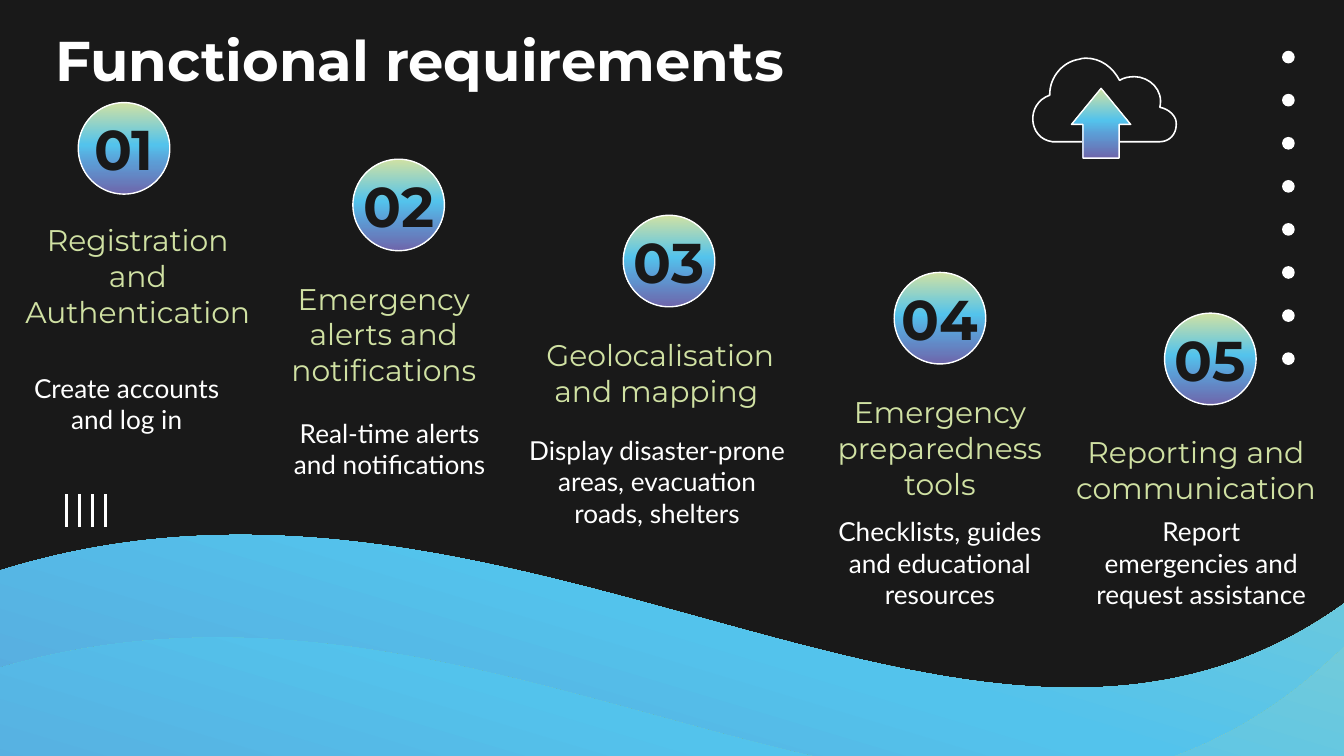
"""Build the functional requirements slide with five descending steps."""
from dataclasses import dataclass
from math import cos, radians, sin

from lxml.etree import SubElement
from pptx import Presentation
from pptx.dml.color import RGBColor
from pptx.enum.shapes import MSO_CONNECTOR, MSO_SHAPE
from pptx.enum.text import MSO_ANCHOR, PP_ALIGN
from pptx.oxml.ns import qn
from pptx.util import Cm, Pt


@dataclass(frozen=True)
class Theme:
    """Colours, fonts and type sizes of the slide."""
    dark: str = "191919"
    white: str = "FFFFFF"
    green: str = "D0E1A3"
    gradient: tuple = ((0, "D0E1A3"), (46, "53C3EC"), (66, "5C9CD5"), (100, "6E66AB"))
    display: str = "Montserrat"
    text: str = "Lato"
    title_size: int = 30
    heading_size: int = 16
    body_size: int = 14


def turn(point, pivot, degrees):
    """Rotate a point clockwise around a pivot."""
    angle = radians(degrees)
    x, y = point[0] - pivot[0], point[1] - pivot[1]
    return (pivot[0] + x * cos(angle) - y * sin(angle),
            pivot[1] + x * sin(angle) + y * cos(angle))


class SlideBuilder:
    """Draws styled elements on the current page."""

    def __init__(self, page, theme):
        """Keep the page and theme, and paint the background."""
        self.page, self.theme = page, theme
        background = page.background.fill
        background.solid()
        background.fore_color.rgb = RGBColor.from_string(theme.dark)

    def paint(self, shape, fill=None, line=None):
        """Set a solid, gradient or empty fill and an optional white outline."""
        shape.shadow.inherit = False
        if fill is None:
            shape.fill.background()
        elif isinstance(fill, str):
            shape.fill.solid()
            shape.fill.fore_color.rgb = RGBColor.from_string(fill)
        else:
            shape.fill.gradient()
            shape.fill.gradient_angle = 270
            stops = shape._element.spPr.find(qn("a:gradFill")).find(qn("a:gsLst"))
            stops.clear()
            for position, colour in fill:
                stop = SubElement(stops, qn("a:gs"), pos=str(position * 1000))
                SubElement(stop, qn("a:srgbClr"), val=colour)
        if line is None:
            shape.line.fill.background()
        else:
            shape.line.color.rgb = RGBColor.from_string(self.theme.white)
            shape.line.width = Pt(line)

    def preset(self, kind, area, fill, line=None):
        """Add a preset shape."""
        shape = self.page.shapes.add_shape(kind, *map(Cm, area))
        self.paint(shape, fill, line)
        return shape

    def outline(self, start, segments, fill=None, line=None):
        """Add a closed freeform of lines (one point) and cubic curves (three points)."""
        first, *rest = [(Cm(x), Cm(y)) for x, y in (start, *sum(segments, ()))]
        builder = self.page.shapes.build_freeform(*first)
        builder.add_line_segments(rest, close=True)
        shape = builder.convert_to_shape()
        route = next(shape._element.iter(qn("a:path")))
        nodes = iter(route.findall(qn("a:lnTo")))
        for segment in segments:
            group = [next(nodes) for _ in segment]
            if len(group) == 3:
                curve = route.makeelement(qn("a:cubicBezTo"))
                group[0].addprevious(curve)
                for node in group:
                    curve.append(node[0])
                    route.remove(node)
        self.paint(shape, fill, line)
        return shape

    def wave(self, pivot, start, segments, tilt=16.7):
        """Add a tilted gradient wave whose gradient turns with it."""
        level = [tuple(turn(point, pivot, -tilt) for point in segment) for segment in segments]
        self.outline(turn(start, pivot, -tilt), level, self.theme.gradient).rotation = tilt

    def tick(self, x, top, bottom):
        """Add a short vertical line."""
        line = self.page.shapes.add_connector(MSO_CONNECTOR.STRAIGHT, Cm(x), Cm(top), Cm(x), Cm(bottom))
        line.line.color.rgb = RGBColor.from_string(self.theme.white)
        line.line.width = Pt(1.5)
        SubElement(line._element.spPr, qn("a:effectLst"))

    def label(self, text, area, font, size, colour, bold=False,
              align=PP_ALIGN.CENTER, anchor=MSO_ANCHOR.TOP):
        """Add a wrapped text box with one run."""
        frame = self.page.shapes.add_textbox(*map(Cm, area)).text_frame
        frame.word_wrap = True
        frame.vertical_anchor = anchor
        frame.margin_left = frame.margin_right = frame.margin_top = frame.margin_bottom = Cm(0.25)
        para = frame.paragraphs[0]
        para.alignment = align
        span = para.add_run()
        span.text = text
        span.font.name, span.font.size, span.font.bold = font, Pt(size), bold
        span.font.color.rgb = RGBColor.from_string(colour)

    def step(self, number, badge, heading, heading_area, body, body_area):
        """Add a numbered badge with its heading and description."""
        theme, diameter, width, height = self.theme, 1.73, 3.81, 1.52
        left, top = badge
        self.preset(MSO_SHAPE.OVAL, (left, top, diameter, diameter), theme.gradient, 0.75)
        number_area = (left + (diameter - width) / 2, top + (diameter - height) / 2, width, height)
        self.label(f"{number:02}", number_area, theme.display, theme.title_size, theme.dark,
                   bold=True, anchor=MSO_ANCHOR.MIDDLE)
        self.label(heading, heading_area, theme.display, theme.heading_size, theme.green)
        self.label(body, body_area, theme.text, theme.body_size, theme.white)


WAVES = [
    ((16.45, 14.48), (31.42, 7.9), [
        ((29.79, 8.18), (27.61, 9.53), (26.09, 10.87)),
        ((18.26, 17.68), (8.23, 5.41), (-3.33, 12.29)),
        ((-5.33, 19),), ((4.39, 21.89),),
        ((7.06, 20.17), (18.97, 19.08), (21.26, 19.25)),
        ((31.83, 20.07), (32.46, 21.36), (34.8, 21.51))]),
    ((15.54, 16.37), (30.4, 9.32), [
        ((28.8, 9.65), (26.64, 11.1), (25.12, 12.5)),
        ((17.27, 19.66), (7.57, 7.14), (-3.94, 14.43)),
        ((-6.02, 21.39),), ((3.53, 24.26),),
        ((6.17, 22.43), (17.96, 21.11), (20.22, 21.26)),
        ((30.63, 21.92), (31.24, 23.27), (33.53, 23.39))]),
]

CLOUD = ((20.52, 1.1), [
    ((20.47, 1.1), (20.42, 1.11), (20.4, 1.12)),
    ((20.07, 1.17), (19.84, 1.47), (19.84, 1.78)),
    ((19.84, 1.8),),
    ((19.38, 1.96), (19.43, 2.62), (19.89, 2.68)),
    ((19.89, 2.68),), ((21.89, 2.68),),
    ((21.92, 2.68), (21.92, 2.68), (21.92, 2.68)),
    ((22.1, 2.68), (22.23, 2.54), (22.23, 2.36)),
    ((22.25, 2.21), (22.1, 2.06), (21.92, 2.03)),
    ((22, 1.7), (21.72, 1.45), (21.44, 1.45)),
    ((21.34, 1.45), (21.23, 1.47), (21.16, 1.52)),
    ((21.03, 1.27), (20.8, 1.1), (20.52, 1.1))])

STEPS = [
    ((1.48, 1.94), "Registration and Authentication", (0.13, 3.95, 4.95, 2.84),
     "Create accounts and log in", (0.11, 6.79, 4.57, 2.44)),
    ((6.67, 3.01), "Emergency alerts and notifications", (4.7, 5.05, 5.11, 2.49),
     "Real-time alerts and notifications", (5.08, 7.64, 4.57, 2.31)),
    ((11.78, 4.07), "Geolocalisation and mapping ", (10.03, 6.12, 4.9, 2.34),
     "Display disaster-prone areas, evacuation roads, shelters", (9.74, 7.96, 5.36, 3.07)),
    ((16.9, 5.15), "Emergency preparedness tools", (15.48, 7.19, 4.57, 2.39),
     "Checklists, guides and educational resources", (15.48, 9.5, 4.57, 2.31)),
    ((22.01, 5.92), "Reporting and communication", (20.05, 7.95, 5.11, 2.34),
     "Report emergencies and request assistance", (20.42, 9.5, 4.57, 2.54)),
]


def main():
    """Build and save the deck."""
    deck = Presentation()
    deck.slide_width, deck.slide_height = Cm(25.4), Cm(14.29)
    theme = Theme()
    slide = SlideBuilder(deck.slides.add_slide(deck.slide_layouts[6]), theme)
    for pivot, start, segments in WAVES:
        slide.wave(pivot, start, segments)
    for row in range(8):
        slide.preset(MSO_SHAPE.OVAL, (24.23, 0.96 + 5.7 * row / 7, 0.24, 0.24), theme.white)
    for column in range(4):
        slide.tick(1.25 + 0.25 * column, 9.34, 9.96)
    slide.label("Functional requirements", (0.8, 0.24, 20.32, 2.01), theme.display,
                theme.title_size, theme.white, bold=True, align=PP_ALIGN.LEFT)
    slide.outline(*CLOUD, line=0.85)
    arrow = slide.preset(MSO_SHAPE.UP_ARROW, (20.25, 1.67, 1.12, 1.32), theme.gradient, 0.75)
    arrow.adjustments[0] = arrow.adjustments[1] = 0.61
    for number, step in enumerate(STEPS, 1):
        slide.step(number, *step)
    deck.save("out.pptx")


if __name__ == "__main__":
    main()
